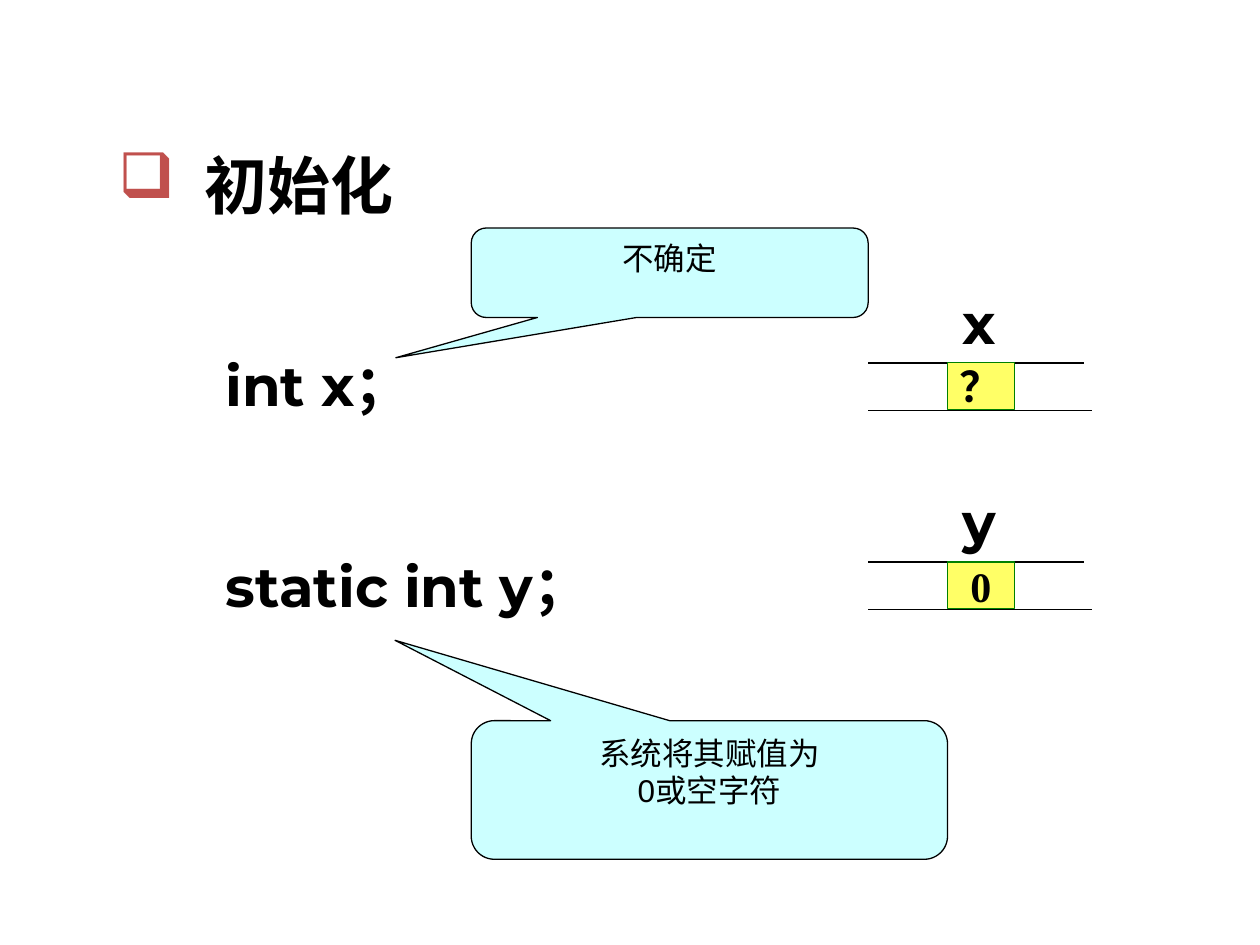
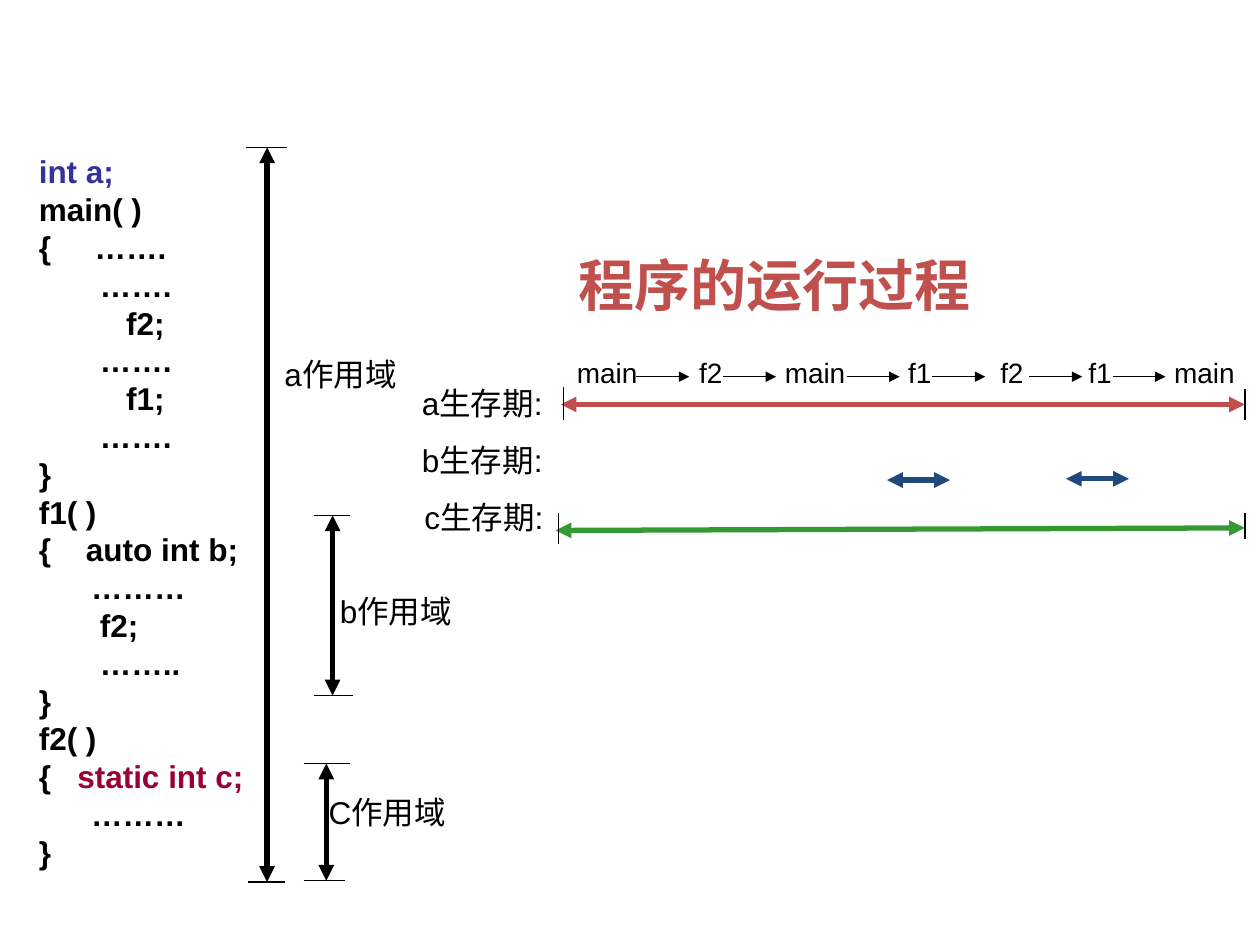
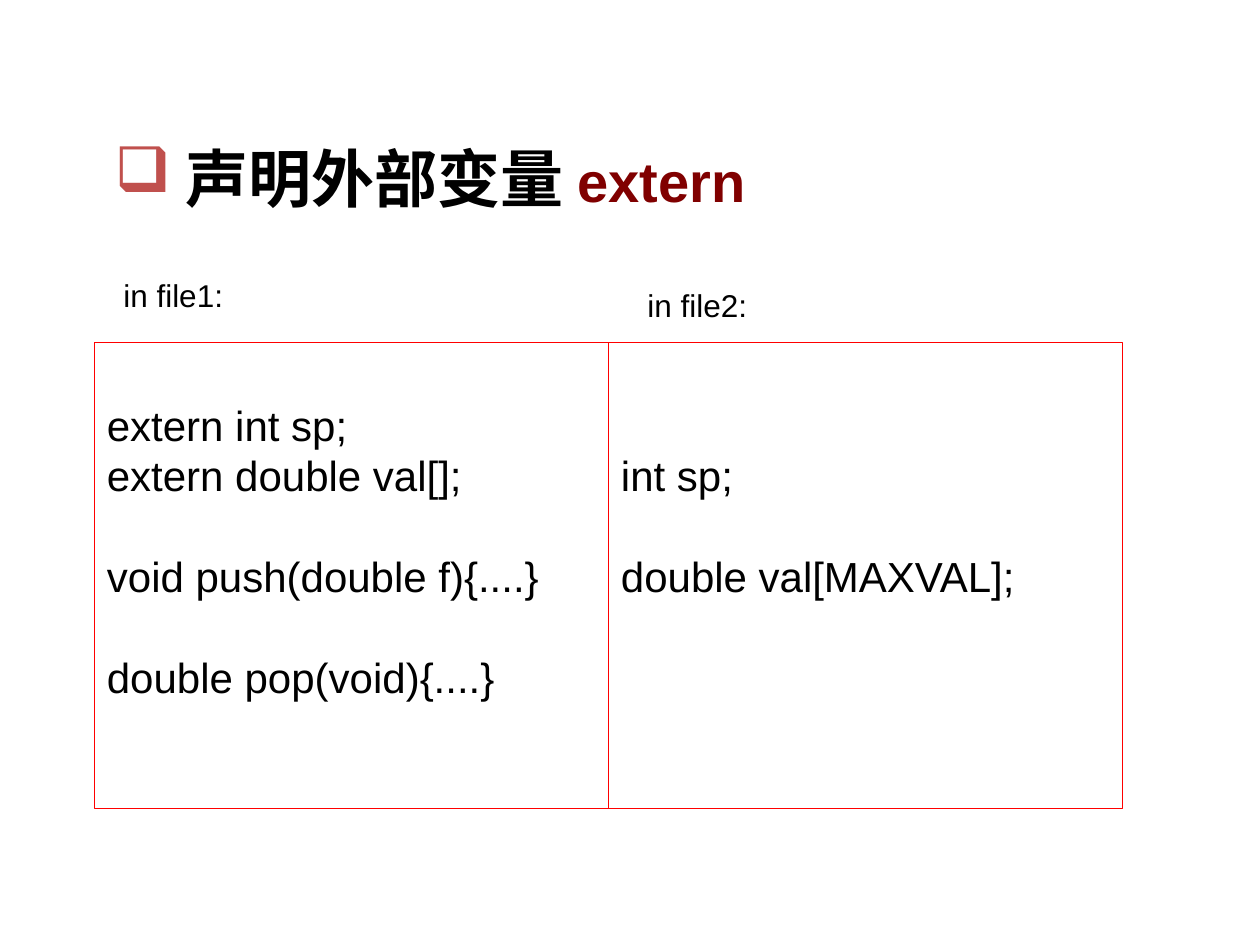
from lxml import etree
from pptx import Presentation
from pptx.dml.color import RGBColor
from pptx.enum.shapes import MSO_CONNECTOR, MSO_SHAPE
from pptx.enum.text import MSO_ANCHOR, MSO_AUTO_SIZE, PP_ALIGN
from pptx.oxml.ns import qn
from pptx.util import Inches, Pt

STRAIGHT = MSO_CONNECTOR.STRAIGHT
RECT = MSO_SHAPE.RECTANGLE
CALLOUT = MSO_SHAPE.ROUNDED_RECTANGULAR_CALLOUT
LEFT, CENTER = PP_ALIGN.LEFT, PP_ALIGN.CENTER
TOP, MIDDLE = MSO_ANCHOR.TOP, MSO_ANCHOR.MIDDLE
GROW, FIXED = MSO_AUTO_SIZE.SHAPE_TO_FIT_TEXT, MSO_AUTO_SIZE.NONE
TITLE_ONLY = 5
LEADING = 1.2

COLORS = {
    "black": "000000", "accent": "C0504D", "cyan": "CCFFFF",
    "yellow": "FFFF66", "cell": "008000", "global": "333399",
    "static": "990033", "auto": "1F497D", "green": "339933",
    "extern": "800000", "red": "FF0000",
}

PROGRAM = """int a;
main( )
{     …….
       …….
          f2;
       …….
          f1;
       …….
}
f1( )
{    auto int b;
      ………
       f2;
       ……..
}
f2( )
{   
      ………
}"""


def rgb(name):
    """Look up a named colour."""
    return RGBColor.from_string(COLORS[name])


def style(run, size, color="black", font="Arial", bold=False):
    """Format one run."""
    run.font.size = Pt(size)
    run.font.name = font
    run.font.bold = bold
    run.font.color.rgb = rgb(color)


def fill_text(frame, text, size, color="black", font="Arial", bold=False,
              align=LEFT, anchor=TOP, wrap=False, fit=GROW):
    """Write and format the text of a frame."""
    frame.text = text
    frame.word_wrap = wrap
    frame.auto_size = fit
    frame.vertical_anchor = anchor
    for para in frame.paragraphs:
        para.alignment = align
        for run in para.runs:
            style(run, size, color, font, bold)


def add_text(slide, box, text, size, **look):
    """Add a text box and return its frame."""
    frame = slide.shapes.add_textbox(*map(Inches, box)).text_frame
    fill_text(frame, text, size, **look)
    return frame


def add_box(slide, kind, box, fill, line):
    """Add an outlined shape, filled if a colour is given."""
    shape = slide.shapes.add_shape(kind, *map(Inches, box))
    shape.shadow.inherit = False
    if fill:
        shape.fill.solid()
        shape.fill.fore_color.rgb = rgb(fill)
    else:
        shape.fill.background()
    shape.line.color.rgb = rgb(line)
    shape.line.width = Pt(0.75)
    return shape


def add_line(slide, x1, y1, x2, y2, color="black", width=0.75, ends=()):
    """Add a straight line with arrowheads at the given ends."""
    line = slide.shapes.add_connector(STRAIGHT, *map(Inches, (x1, y1, x2, y2)))
    line.line.color.rgb = rgb(color)
    line.line.width = Pt(width)
    props = line.line._get_or_add_ln()
    for end in ends:
        etree.SubElement(props, qn(f"a:{end}End"), type="triangle")
    etree.SubElement(line._element.spPr, qn("a:effectLst"))


def add_span(slide, x1, y1, x2, y2, color="black"):
    """Add a thick arrow with two heads."""
    add_line(slide, x1, y1, x2, y2, color, 3, ("head", "tail"))


def add_title(deck, box, text, size, **look):
    """Add a slide with its title and return both."""
    slide = deck.slides.add_slide(deck.slide_layouts[TITLE_ONLY])
    title = slide.shapes.title
    title.left, title.top, title.width, title.height = map(Inches, box)
    fill_text(title.text_frame, text, size, bold=True, **look)
    return slide, title.text_frame.paragraphs[0]


def add_bullet(para, indent):
    """Give a paragraph the hollow square bullet."""
    props = para._p.get_or_add_pPr()
    props.set("marL", str(Inches(indent)))
    props.set("indent", str(-Inches(indent)))
    tint = etree.SubElement(props, qn("a:buClr"))
    etree.SubElement(tint, qn("a:srgbClr"), val=COLORS["accent"])
    etree.SubElement(props, qn("a:buChar"), char="❑")


def add_callout(slide, box, tip, text):
    """Add a speech callout that points at the tip."""
    shape = add_box(slide, CALLOUT, box, "cyan", "black")
    shape.adjustments[0], shape.adjustments[1] = tip
    fill_text(shape.text_frame, text, 18, align=CENTER, wrap=True, fit=FIXED)


def add_cell(slide, top, name, value):
    """Draw a variable as a cell in a strip of memory."""
    add_line(slide, 6.89, top, 8.6, top)
    add_line(slide, 6.89, top + 0.38, 8.67, top + 0.38)
    cell = add_box(slide, RECT, (7.52, top, 0.53, 0.37), "yellow", "cell")
    fill_text(cell.text_frame, value, 24, font="Times New Roman", bold=True,
              align=CENTER, anchor=MIDDLE, fit=FIXED)
    add_text(slide, (7.54, top - 0.64, 0.45, 0.64), name, 32,
             font="Montserrat", bold=True)


def set_leading(frame, size):
    """Set an even line pitch for code."""
    for para in frame.paragraphs:
        para.line_spacing = Pt(LEADING * size)


def add_scope(slide, x, top, bottom, caps, label, box):
    """Draw the scope of a variable as a capped vertical span."""
    for y, (start, end) in zip((top, bottom), caps):
        add_line(slide, start, y, end, y)
    add_span(slide, x, top, x, bottom)
    add_text(slide, box, label, 18, anchor=MIDDLE)


def add_code(slide, left, inset, text, gaps):
    """Add a framed code panel with a blank line before some lines."""
    panel = add_box(slide, RECT, (left, 2.72, 4.08, 3.7), None, "red")
    frame = panel.text_frame
    fill_text(frame, text, 24, wrap=True, fit=FIXED)
    frame.margin_top = Inches(inset)
    set_leading(frame, 24)
    for index in gaps:
        frame.paragraphs[index].space_before = Pt(LEADING * 24)


def init_slide(deck):
    """Build the slide on initial values."""
    slide, para = add_title(deck, (0.84, 1.11, 2.5, 0.7), "初始化", 36,
                            font="Times New Roman")
    add_bullet(para, 0.68)
    code = add_text(slide, (1.69, 2.73, 5.2, 2.24), "int x；\nstatic int y；",
                    32, font="Montserrat", bold=True, wrap=True)
    set_leading(code, 32)
    code.paragraphs[1].space_before = Pt(2 * LEADING * 32)
    add_callout(slide, (3.74, 5.72, 3.78, 1.1), (-0.66, -1.08),
                "系统将其赋值为\n0或空字符")
    add_callout(slide, (3.74, 1.81, 3.15, 0.71), (-0.69, 0.95), "不确定")
    add_cell(slide, 2.88, "x", "？")
    add_cell(slide, 4.46, "y", "0")


def scope_slide(deck):
    """Build the slide on scope and lifetime."""
    slide, _ = add_title(deck, (4.49, 1.94, 3.45, 0.64), "程序的运行过程", 32,
                         color="accent")
    code = add_text(slide, (0.21, 1.16, 2, 5.8), PROGRAM, 18, bold=True,
                    anchor=MIDDLE)
    set_leading(code, 18)
    style(code.paragraphs[0].runs[0], 18, "global", bold=True)
    run = code.paragraphs[16].add_run()
    run.text = "static int c;"
    style(run, 18, "static", bold=True)

    add_scope(slide, 2.12, 1.17, 7, ((1.95, 2.28), (1.97, 2.26)),
              "a作用域", (2.16, 2.77, 1.2, 0.4))
    add_scope(slide, 2.64, 4.09, 5.52, ((2.49, 2.78), (2.49, 2.8)),
              "b作用域", (2.6, 4.65, 1.2, 0.4))
    add_scope(slide, 2.59, 6.06, 6.99, ((2.41, 2.78), (2.41, 2.74)),
              "C作用域", (2.51, 6.24, 1.24, 0.4))

    calls = (("main", 4.48), ("f2", 5.45), ("main", 6.13), ("f1", 7.11),
             ("f2", 7.84), ("f1", 8.54), ("main", 9.22))
    for name, left in calls:
        width = 0.72 if name == "main" else 0.45
        add_text(slide, (left, 2.77, width, 0.37), name, 16, anchor=MIDDLE)
    for left in (5.05, 5.74, 6.72, 7.4, 8.17, 8.83):
        add_line(slide, left, 2.99, left + 0.42, 2.99, ends=("tail",))

    for row, (name, left) in enumerate((("a", 3.25), ("b", 3.25),
                                        ("c", 3.27))):
        add_text(slide, (left, 3 + 0.45 * row, 1.32, 0.4), f"{name}生存期:",
                 18, anchor=MIDDLE)
    add_span(slide, 4.45, 3.21, 9.88, 3.21, "accent")
    add_span(slide, 7.04, 3.81, 7.54, 3.81, "auto")
    add_span(slide, 8.46, 3.8, 8.96, 3.8, "auto")
    add_span(slide, 4.41, 4.21, 9.88, 4.19, "green")
    for x, top, bottom in ((4.47, 3.07, 3.33), (9.88, 3.09, 3.33),
                           (4.43, 4.07, 4.32), (9.88, 4.07, 4.28)):
        add_line(slide, x, top, x, bottom)


def extern_slide(deck):
    """Build the slide on external variables."""
    slide, para = add_title(deck, (0.81, 1.06, 5.5, 0.7), "声明外部变量 ", 36,
                            font="Times New Roman")
    add_bullet(para, 0.56)
    run = para.add_run()
    run.text = "extern"
    style(run, 32, "extern", bold=True)
    add_code(slide, 0.75, 0.45,
             "extern int sp;\nextern double val[];\n"
             "void push(double f){....}\ndouble pop(void){....}", (2, 3))
    add_code(slide, 4.83, 0.85, "int sp;\ndouble val[MAXVAL];", (1,))
    add_text(slide, (0.88, 2.14, 1.05, 0.4), "in file1:", 18)
    add_text(slide, (5.04, 2.22, 1.05, 0.4), "in file2:", 18)


def main():
    """Build and save the deck."""
    deck = Presentation()
    deck.slide_width, deck.slide_height = Inches(10), Inches(7.5)
    init_slide(deck)
    scope_slide(deck)
    extern_slide(deck)
    deck.save("out.pptx")


if __name__ == "__main__":
    main()
